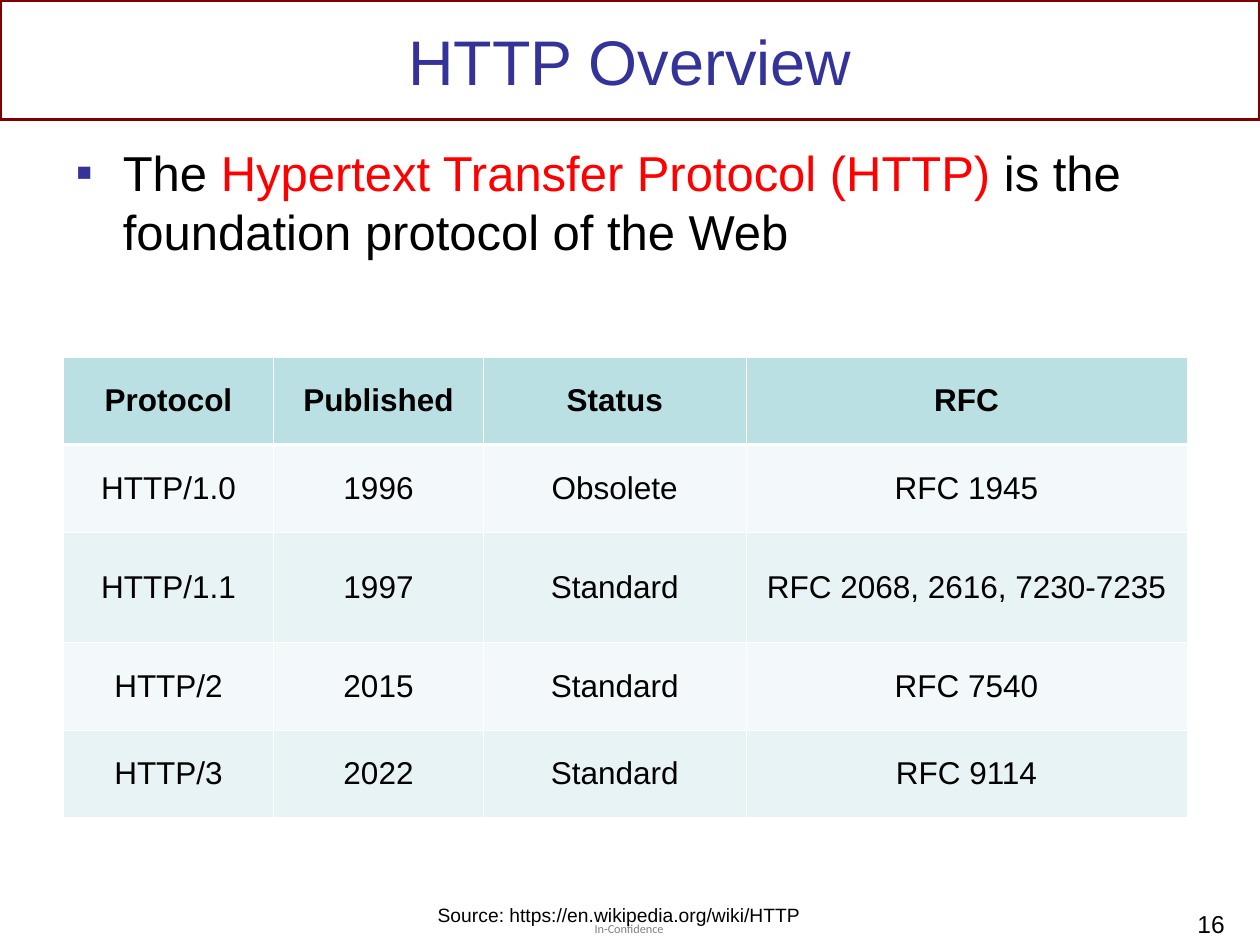
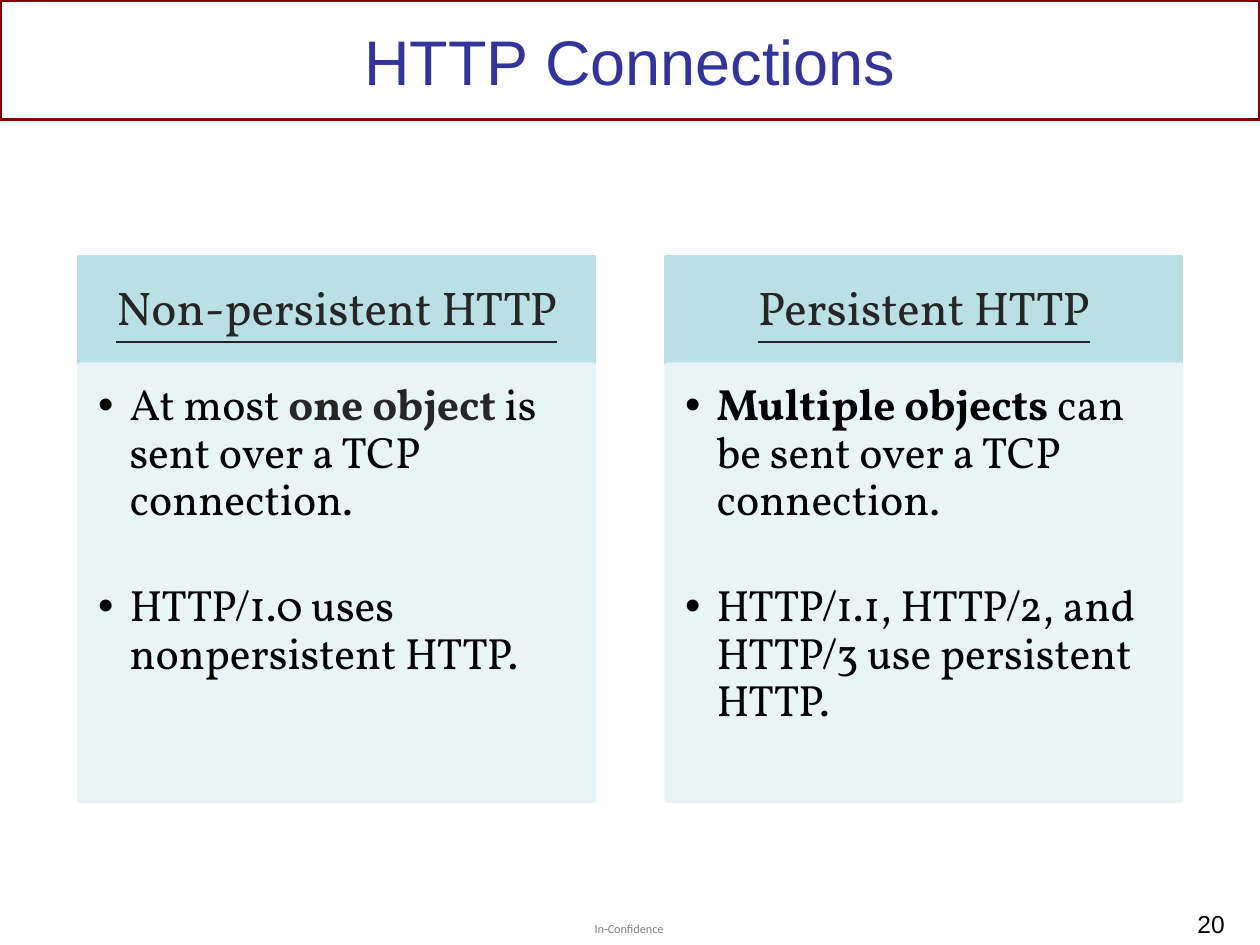
import pptx
import pptx.dml.color
import pptx.enum.shapes
import pptx.enum.text
import pptx.oxml
import pptx.oxml.ns
import pptx.util
from dataclasses import dataclass

Pt = pptx.util.Pt
qn = pptx.oxml.ns.qn
Align = pptx.enum.text.PP_ALIGN
Anchor = pptx.enum.text.MSO_ANCHOR


@dataclass(frozen=True)
class Theme:
    sans: str = "Arial"
    serif: str = "Vollkorn"
    footer_font: str = "Calibri"
    ink: str = "000000"
    soft_ink: str = "262626"
    white: str = "FFFFFF"
    indigo: str = "333399"
    red: str = "FF0000"
    maroon: str = "800000"
    header_fill: str = "BBE0E3"
    light_row: str = "F3F9FA"
    dark_row: str = "E7F3F4"
    title_size: int = 36
    body_size: int = 28
    panel_title_size: int = 27
    panel_size: int = 25
    table_size: int = 18
    number_size: int = 14
    source_size: int = 11
    footer_size: int = 7


T = Theme()


def apply(obj, values):
    for name, value in values.items():
        setattr(obj, name, value)


def paint(fill, color, alpha=None):
    fill.solid()
    fill.fore_color.rgb = pptx.dml.color.RGBColor.from_string(color)
    if alpha:
        clr = fill._xPr.find(qn("a:solidFill"))[0]
        clr.append(clr.makeelement(qn("a:alpha"), {"val": str(alpha * 1000)}))


def add_run(p, text, size, color=T.ink, font=T.sans, alpha=None, **style):
    r = p.add_run()
    r.text = text
    apply(r.font, {"name": font, "size": Pt(size), **style})
    paint(r.font.fill, color, alpha)


def add_bullet(p, char, indent, color):
    pPr = p._p.get_or_add_pPr()
    pPr.set("marL", str(Pt(indent)))
    pPr.set("indent", str(-Pt(indent)))
    ns = pptx.oxml.ns.nsdecls("a")
    for xml in (f'<a:buClr {ns}><a:srgbClr val="{color}"/></a:buClr>',
                f'<a:buFont {ns} typeface="{T.sans}"/>',
                f'<a:buChar {ns} char="{char}"/>'):
        pPr.append(pptx.oxml.parse_xml(xml))


def place(sp, left, top, width, height):
    apply(sp, {"left": Pt(left), "top": Pt(top),
               "width": Pt(width), "height": Pt(height)})


def set_margins(tf, left, top, right, bottom):
    apply(tf, {"margin_left": Pt(left), "margin_top": Pt(top),
               "margin_right": Pt(right), "margin_bottom": Pt(bottom)})


def add_box(s, left, top, width, height, line, fill=None, alpha=None):
    sp = s.shapes.add_shape(pptx.enum.shapes.MSO_SHAPE.RECTANGLE,
                            Pt(left), Pt(top), Pt(width), Pt(height))
    sp.shadow.inherit = False
    if fill:
        paint(sp.fill, fill, alpha)
    else:
        sp.fill.background()
    paint(sp.line.fill, line, alpha)
    sp.line.width = Pt(2)
    return sp


def add_label(s, box, text, size, align=Align.LEFT, margins=None, **style):
    tf = s.shapes.add_textbox(*map(Pt, box)).text_frame
    tf.word_wrap = margins is None
    if margins:
        set_margins(tf, *margins)
    p = tf.paragraphs[0]
    p.alignment = align
    add_run(p, text, size, **style)


def add_slide(prs, layout, title, number):
    s = prs.slides.add_slide(prs.slide_layouts.get_by_name(layout))
    add_box(s, 0, 0, 720, 68.4, T.maroon)
    add_label(s, (339.8, 526.3, 41, 8.6), "In-Confidence", T.footer_size,
              margins=(0.0, 0, 0, 0), font=T.footer_font, alpha=50)
    sp = s.shapes.title
    place(sp, 36, 5.8, 648, 56.9)
    tf = sp.text_frame
    apply(tf, {"vertical_anchor": Anchor.MIDDLE,
               "auto_size": pptx.enum.text.MSO_AUTO_SIZE.NONE})
    p = tf.paragraphs[0]
    p.alignment = Align.CENTER
    add_run(p, title, T.title_size, T.indigo)
    add_label(s, (548.6, 516.2, 158.4, 21.6), str(number), T.number_size, Align.RIGHT)
    return s


def fill_body(s, runs):
    sp = s.placeholders[1]
    place(sp, 36, 77.8, 648, 108)
    tf = sp.text_frame
    tf.auto_size = pptx.enum.text.MSO_AUTO_SIZE.NONE
    p = tf.paragraphs[0]
    add_bullet(p, "▪", 27, T.indigo)
    p.space_before = Pt(0)
    for text, color in runs:
        add_run(p, text, T.body_size, color)


def set_borders(cell, widths):
    tcPr = cell._tc.get_or_add_tcPr()
    for side, width in zip("LRTB", widths):
        ln = pptx.oxml.parse_xml(
            f'<a:ln{side} {pptx.oxml.ns.nsdecls("a")} w="{Pt(width)}"><a:solidFill>'
            f'<a:srgbClr val="{T.white}"/></a:solidFill></a:ln{side}>')
        tcPr.append(ln)


def add_table(s, left, top, widths, heights, rows):
    table = s.shapes.add_table(len(rows), len(widths), Pt(left), Pt(top),
                               Pt(sum(widths)), Pt(sum(heights))).table
    for column, width in zip(table.columns, widths):
        column.width = Pt(width)
    thin, thick = 0.54, 1.63
    for i, row in enumerate(rows):
        table.rows[i].height = Pt(heights[i])
        fill = T.header_fill if i == 0 else (T.dark_row, T.light_row)[i % 2]
        for j, text in enumerate(row):
            cell = table.cell(i, j)
            set_borders(cell, (thin, thin, thick if i == 1 else thin,
                               thick if i == 0 else thin))
            paint(cell.fill, fill)
            cell.vertical_anchor = Anchor.MIDDLE
            p = cell.text_frame.paragraphs[0]
            p.alignment = Align.CENTER
            add_run(p, text, T.table_size, bold=i == 0)


def add_panel(s, left, width, heading, bullets):
    top, head_height, body_height = 146.9, 61.2, 249.8
    sp = add_box(s, left, top, width, head_height, T.header_fill, T.header_fill)
    tf = sp.text_frame
    apply(tf, {"word_wrap": True, "vertical_anchor": Anchor.MIDDLE})
    set_margins(tf, 15, 8.6, 15, 8.6)
    p = tf.paragraphs[0]
    apply(p, {"alignment": Align.CENTER, "line_spacing": 0.9})
    add_run(p, heading, T.panel_title_size, T.soft_ink, T.serif, underline=True)

    sp = add_box(s, left, top + head_height, width, body_height,
                 T.dark_row, T.dark_row, 90)
    tf = sp.text_frame
    apply(tf, {"word_wrap": True, "vertical_anchor": Anchor.TOP})
    set_margins(tf, 10.8, 10.8, 13.7, 15.8)
    for i, runs in enumerate(bullets):
        p = tf.add_paragraph() if i else tf.paragraphs[0]
        add_bullet(p, "•", 18, T.ink)
        apply(p, {"alignment": Align.LEFT, "line_spacing": 0.9,
                  "space_before": Pt(34 if i else 0)})
        for text, color, bold in runs:
            add_run(p, text, T.panel_size, color, T.serif, bold=bold)


def main():
    prs = pptx.Presentation()
    apply(prs, {"slide_width": Pt(720), "slide_height": Pt(540)})

    s = add_slide(prs, "Title and Content", "HTTP Overview", 16)
    fill_body(s, [("The ", T.ink),
                  ("Hypertext Transfer Protocol (HTTP) ", T.red),
                  ("is the foundation protocol of the Web", T.ink)])
    add_table(s, 36.3, 204, (120, 120, 150, 252), (50.1, 50.1, 63, 50.1, 50.1), [
        ("Protocol", "Published", "Status", "RFC"),
        ("HTTP/1.0", "1996", "Obsolete", "RFC 1945"),
        ("HTTP/1.1", "1997", "Standard", "RFC 2068, 2616, 7230-7235"),
        ("HTTP/2", "2015", "Standard", "RFC 7540"),
        ("HTTP/3", "2022", "Standard", "RFC 9114"),
    ])
    add_label(s, (243, 512.6, 234, 20.9),
              "Source: https://en.wikipedia.org/wiki/HTTP", T.source_size)

    s = add_slide(prs, "Title Only", "HTTP Connections", 20)
    panels = [
        ("Non-persistent HTTP", [
            [("At most ", T.ink, False), ("one object ", T.soft_ink, True),
             ("is sent over a TCP connection.", T.ink, False)],
            [("HTTP/1.0 uses nonpersistent HTTP.", T.ink, False)]]),
        ("Persistent HTTP", [
            [("Multiple objects ", T.ink, True),
             ("can be sent over a TCP connection.", T.ink, False)],
            [("HTTP/1.1, HTTP/2, and HTTP/3 use persistent HTTP.", T.ink, False)]]),
    ]
    left, width, gap = 45.2, 294.5, 41
    for i, (heading, bullets) in enumerate(panels):
        add_panel(s, left + i * (width + gap), width, heading, bullets)

    prs.save("out.pptx")


if __name__ == "__main__":
    main()
